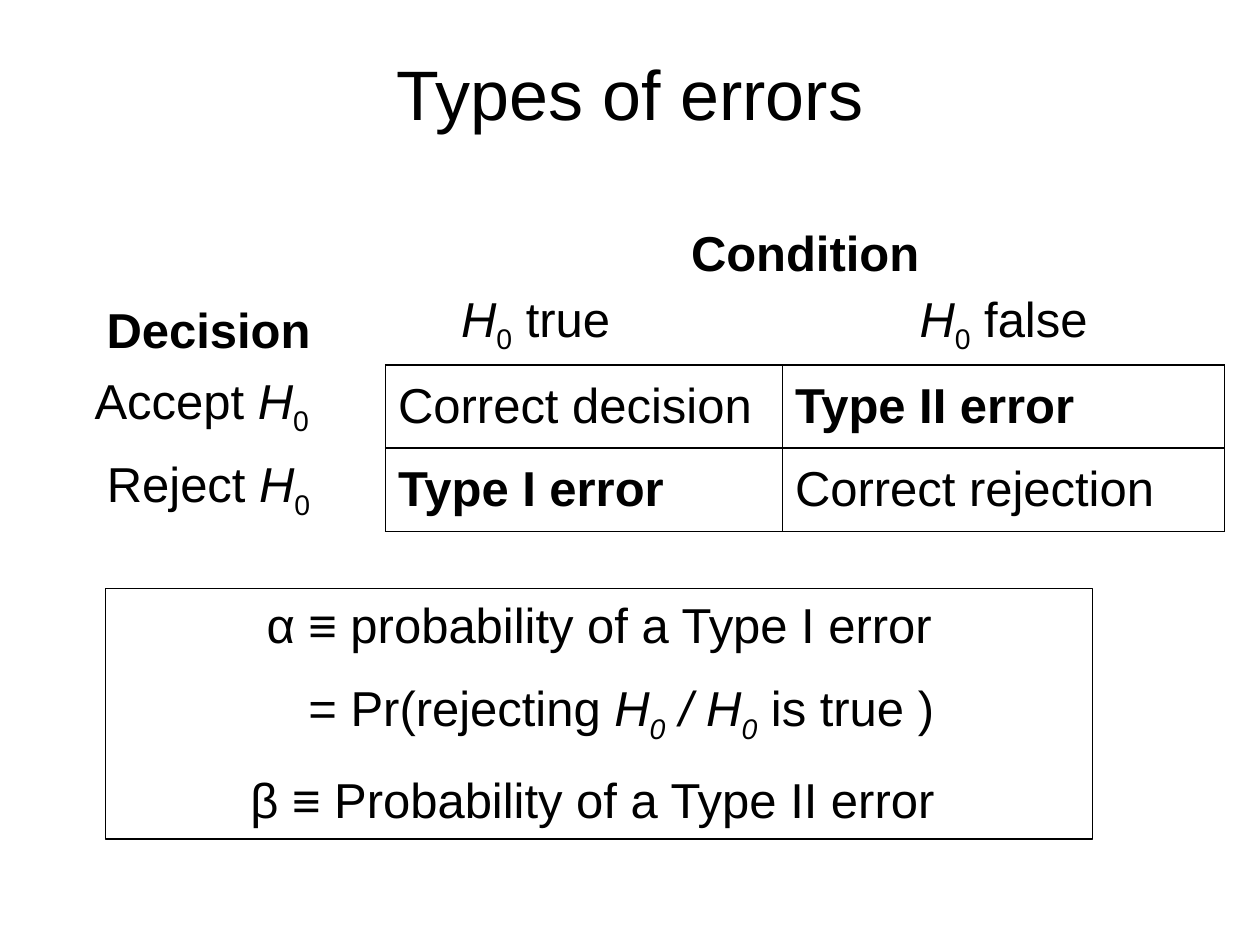
from pptx import Presentation
from pptx.dml.color import RGBColor
from pptx.enum.shapes import MSO_SHAPE as Shape
from pptx.enum.text import MSO_ANCHOR as Anchor, PP_ALIGN as Align
from pptx.oxml import parse_xml
from pptx.oxml.ns import nsdecls
from pptx.util import Inches, Pt

COLORS = {"ink": "000000", "paper": "FFFFFF"}
H0 = [("H", "i"), ("0", "s")]


def write(paragraph, parts, size=28, align=Align.LEFT, indent=0, before=0, font="Arial"):
    paragraph.alignment = align
    paragraph.space_before = Pt(before)
    if indent:
        properties = paragraph._p.get_or_add_pPr()
        properties.set("marL", str(Inches(indent)))
        properties.set("indent", "0")
    for text, style in [(parts, "")] if isinstance(parts, str) else parts:
        run = paragraph.add_run()
        run.text = text
        run.font.name, run.font.size = font, Pt(size)
        run.font.bold, run.font.italic = "b" in style, "i" in style
        run.font.color.rgb = RGBColor.from_string(COLORS["ink"])
        if "s" in style:
            run.font._element.set("baseline", "-25000")


class Deck:
    def __init__(self, width, height):
        self.file = Presentation()
        self.file.slide_width, self.file.slide_height = Inches(width), Inches(height)
        self.slide = self.file.slides.add_slide(self.file.slide_layouts[6])

    def title(self, text, *place):
        frame = self.slide.shapes.add_textbox(*map(Inches, place)).text_frame
        frame.word_wrap = True
        frame.vertical_anchor = Anchor.MIDDLE
        write(frame.paragraphs[0], text, size=40, align=Align.CENTER)

    def box(self, lines, *place):
        panel = self.slide.shapes.add_shape(Shape.RECTANGLE, *map(Inches, place))
        panel.shadow.inherit = False
        panel.fill.solid()
        panel.fill.fore_color.rgb = RGBColor.from_string(COLORS["paper"])
        panel.line.color.rgb = RGBColor.from_string(COLORS["ink"])
        panel.line.width = Pt(0.75)
        frame = panel.text_frame
        frame.word_wrap = True
        frame.vertical_anchor = Anchor.TOP
        for index, (parts, layout) in enumerate(lines):
            paragraph = frame.add_paragraph() if index else frame.paragraphs[0]
            write(paragraph, parts, before=14 if index else 0, **layout)

    def table(self, left, top, widths, heights):
        grid = self.slide.shapes.add_table(
            len(heights), len(widths), Inches(left), Inches(top),
            Inches(sum(widths)), Inches(sum(heights))).table
        grid.first_row = grid.horz_banding = False
        for column, width in zip(grid.columns, widths):
            column.width = Inches(width)
        for row, height in zip(grid.rows, heights):
            row.height = Inches(height)
        return grid

    def cell(self, cell, parts, sides="", anchor=Anchor.MIDDLE, top=0.05, **layout):
        cell.vertical_anchor = anchor
        cell.margin_top = Inches(top)
        properties = cell._tc.get_or_add_tcPr()
        for side in "LRTB":
            paint = (f'<a:solidFill><a:srgbClr val="{COLORS["ink"]}"/></a:solidFill>'
                     if side in sides else "<a:noFill/>")
            properties.append(parse_xml(
                f'<a:ln{side} {nsdecls("a")} w="{Pt(1)}">{paint}</a:ln{side}>'))
        cell.fill.background()
        write(cell.text_frame.paragraphs[0], parts, **layout)


deck = Deck(10, 7.5)
deck.title("Types of errors", 0.5, 0.3, 9, 0.87)

centered = {"align": Align.CENTER}
blank = {"top": 0.02}
heading = {"align": Align.CENTER, "anchor": Anchor.BOTTOM, "top": 0.02}
state = {"sides": "B", "top": 0.02}
label = {"align": Align.CENTER, "sides": "R"}
outcome = {"sides": "LRTB"}
rows = [
    [("", blank), ([("Condition", "b")], heading), ("", blank)],
    [([("Decision", "b")], heading),
     (H0 + [(" true", "")], {"indent": 0.5, **state}),
     (H0 + [(" false", "")], {**centered, **state})],
    [([("Accept ", "")] + H0 + [(" ", "")], label),
     ("Correct decision", outcome), ([("Type II error", "b")], outcome)],
    [([("Reject ", "")] + H0, label),
     ([("Type I error", "b")], outcome), ("Correct rejection", outcome)],
]
decisions = deck.table(0.25, 1.75, [2.81, 3.15, 3.51], [0.51, 0.61, 0.66, 0.66])
decisions.cell(0, 1).merge(decisions.cell(0, 2))
for r, row in enumerate(rows):
    for c, (parts, layout) in enumerate(row):
        deck.cell(decisions.cell(r, c), parts, **layout)

rejecting = [("= Pr(rejecting ", ""), ("H", "i"), ("0", "is"), (" / H", "i"),
             ("0", "is"), (" is true )", "")]
deck.box([
    ("α ≡ probability of a Type I error", centered),
    (rejecting, {"indent": 1.51}),
    ("β ≡ Probability of a Type II error ", centered),
], 0.84, 4.67, 7.83, 1.99)

deck.file.save("out.pptx")
